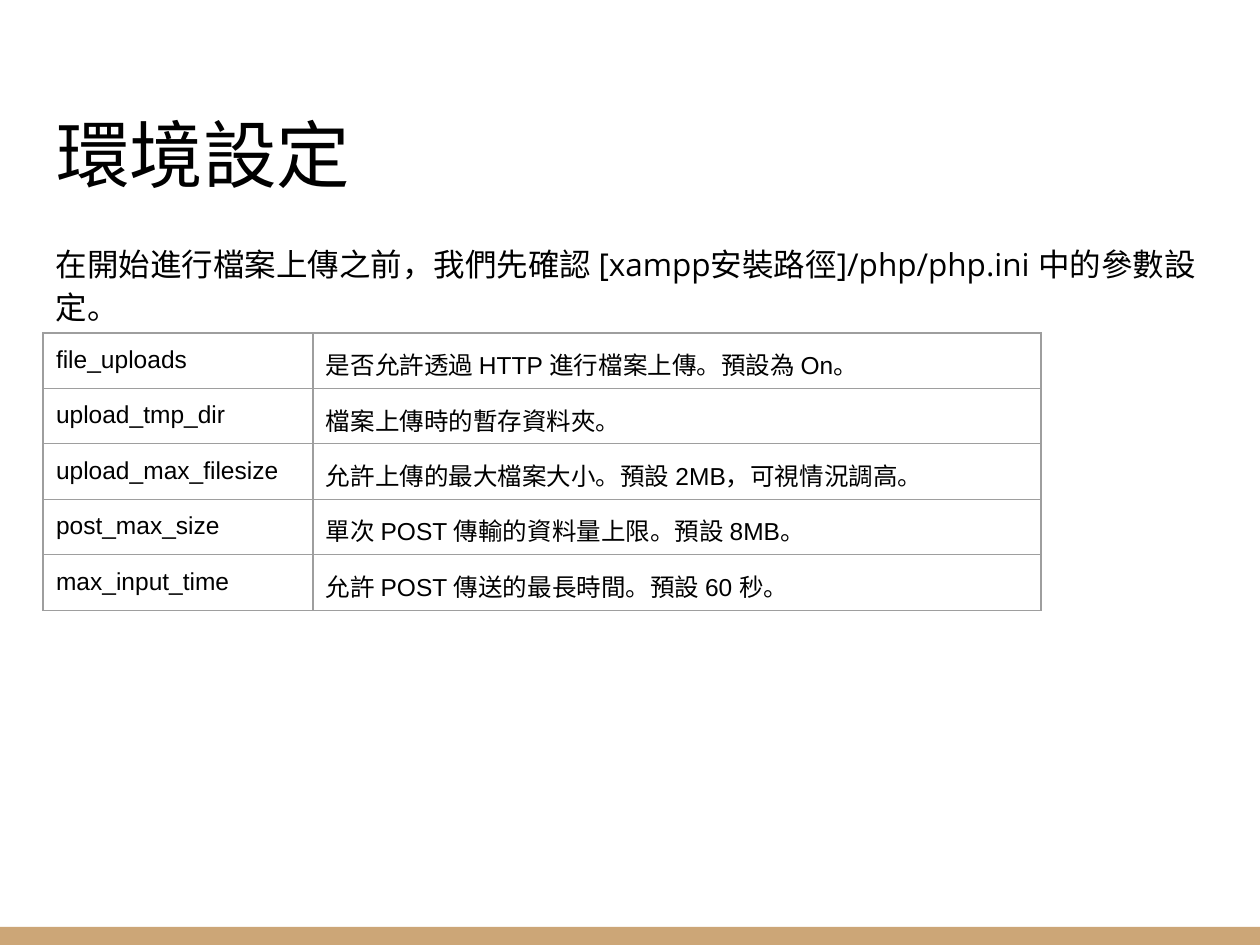
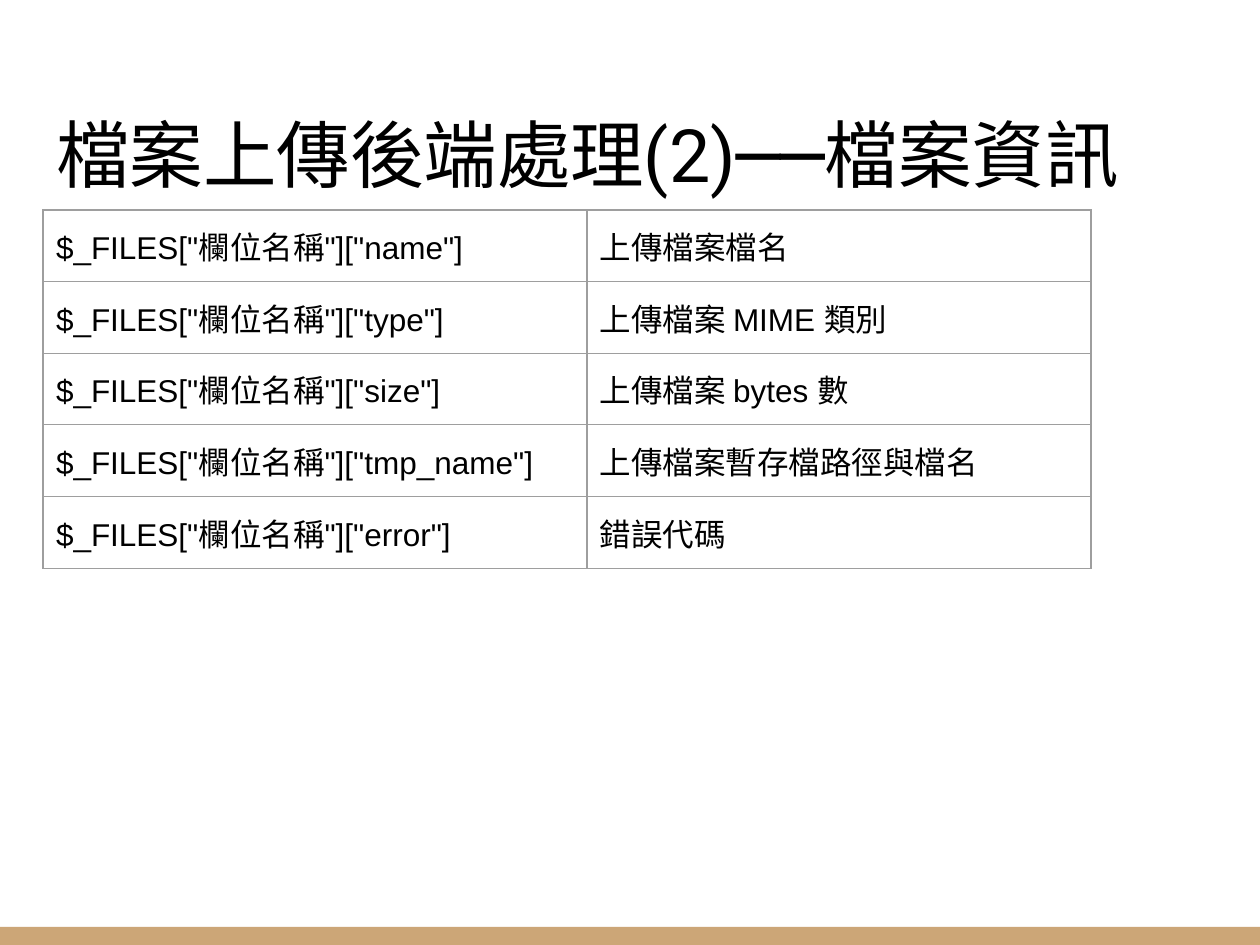
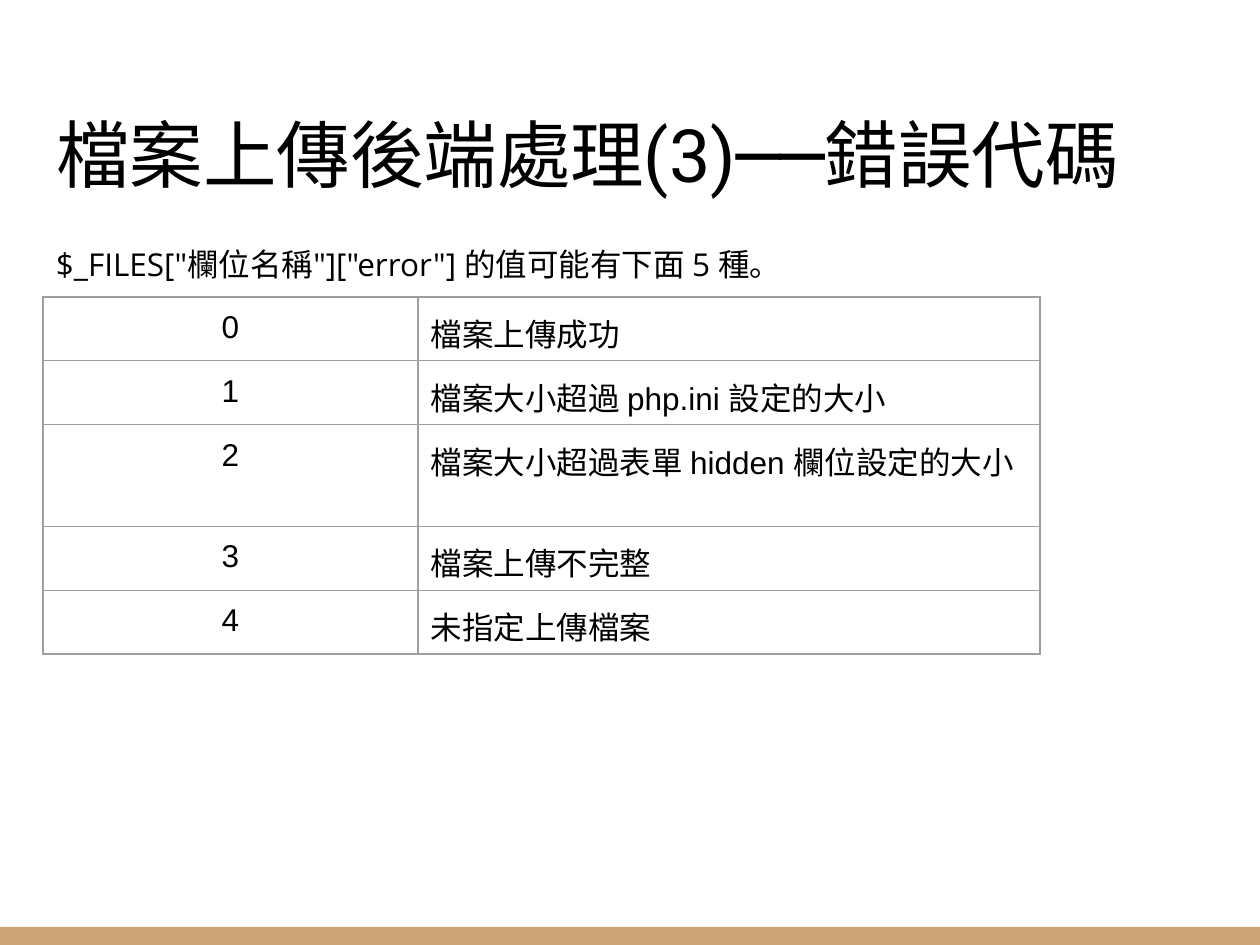
from dataclasses import dataclass

from lxml import etree
from pptx import Presentation
from pptx import util as u
from pptx.dml.color import RGBColor
from pptx.enum import shapes, text
from pptx.oxml.ns import qn

SCALE = 914400 / 126  # EMU per px
W, H = 1260, 945
LEFT, TEXT_W, INSET = 43, 1174, 13
BAND_H = 18
ROW_H = 53


@dataclass(frozen=True)
class Theme:
    ink: str = "000000"
    band: str = "CCA677"
    grid: str = "9E9E9E"
    title_font: str = "Roboto"
    body_font: str = "Open Sans"
    table_font: str = "Arial"
    title_size: int = 42
    body_size: int = 18
    small_size: int = 14
    grid_width: float = 0.75


theme = Theme()

SLIDES = [
    dict(
        title="環境設定",
        intro="在開始進行檔案上傳之前，我們先確認 [xampp安裝路徑]/php/php.ini 中的參數設定。",
        intro_h=107, table_top=333, cols=(270, 728),
        size=theme.small_size, key_align=text.PP_ALIGN.LEFT,
        rows=[
            ("file_uploads", "是否允許透過 HTTP 進行檔案上傳。預設為 On。"),
            ("upload_tmp_dir", "檔案上傳時的暫存資料夾。"),
            ("upload_max_filesize", "允許上傳的最大檔案大小。預設 2MB，可視情況調高。"),
            ("post_max_size", "單次 POST 傳輸的資料量上限。預設 8MB。"),
            ("max_input_time", "允許 POST 傳送的最長時間。預設 60 秒。"),
        ],
    ),
    dict(
        title="檔案上傳後端處理(2)──檔案資訊",
        intro=None, table_top=210, cols=(544, 504),
        size=theme.body_size, key_align=text.PP_ALIGN.LEFT,
        rows=[
            ('$_FILES["欄位名稱"]["name"]', "上傳檔案檔名"),
            ('$_FILES["欄位名稱"]["type"]', "上傳檔案 MIME 類別"),
            ('$_FILES["欄位名稱"]["size"]', "上傳檔案 bytes 數"),
            ('$_FILES["欄位名稱"]["tmp_name"]', "上傳檔案暫存檔路徑與檔名"),
            ('$_FILES["欄位名稱"]["error"]', "錯誤代碼"),
        ],
    ),
    dict(
        title="檔案上傳後端處理(3)──錯誤代碼",
        intro='$_FILES["欄位名稱"]["error"] 的值可能有下面 5 種。',
        intro_h=72, table_top=297, cols=(375, 622),
        size=theme.body_size, key_align=text.PP_ALIGN.CENTER,
        rows=[
            ("0", "檔案上傳成功"),
            ("1", "檔案大小超過 php.ini 設定的大小"),
            ("2", "檔案大小超過表單 hidden 欄位設定的大小"),
            ("3", "檔案上傳不完整"),
            ("4", "未指定上傳檔案"),
        ],
    ),
]


def px(n):
    return u.Emu(round(n * SCALE))


def write(box, words, font, size, align=text.PP_ALIGN.LEFT):
    """Fill a shape or cell with one styled paragraph and return it."""
    tf = box.text_frame
    tf.word_wrap = True
    holder = tf if hasattr(tf, "margin_left") and box is not tf and hasattr(box, "shape_id") else box
    for side in ("left", "right", "top", "bottom"):
        setattr(holder, "margin_" + side, px(INSET))
    p = tf.paragraphs[0]
    p.text = words
    p.alignment = align
    p.font.name = font
    p.font.size = u.Pt(size)
    p.font.color.rgb = RGBColor.from_string(theme.ink)
    return p


prs = Presentation()
prs.slide_width, prs.slide_height = px(W), px(H)

for content in SLIDES:
    s = prs.slides.add_slide(prs.slide_layouts[5])

    band = s.shapes.add_shape(shapes.MSO_SHAPE.RECTANGLE, 0, px(H - BAND_H), px(W), px(BAND_H))
    band.shadow.inherit = False
    band.fill.solid()
    band.fill.fore_color.rgb = RGBColor.from_string(theme.band)
    band.line.fill.background()

    title = s.shapes.title
    title.left, title.top, title.width, title.height = px(LEFT), px(58), px(TEXT_W), px(152)
    write(title, content["title"], theme.title_font, theme.title_size)
    title.text_frame.vertical_anchor = text.MSO_ANCHOR.BOTTOM
    title.text_frame.auto_size = text.MSO_AUTO_SIZE.NONE

    if content["intro"]:
        intro = s.shapes.add_textbox(px(LEFT), px(226), px(TEXT_W), px(content["intro_h"]))
        p = write(intro, content["intro"], theme.body_font, theme.body_size)
        p.line_spacing = 1.15
        p.space_after = u.Pt(16)

    rows, cols = content["rows"], content["cols"]
    table = s.shapes.add_table(
        len(rows), len(cols), px(LEFT), px(content["table_top"]),
        px(sum(cols)), px(ROW_H * len(rows)),
    ).table
    table.first_row = table.horz_banding = False
    for column, width in zip(table.columns, cols):
        column.width = px(width)
    for r, row in enumerate(rows):
        for c, words in enumerate(row):
            cell = table.cell(r, c)
            align = content["key_align"] if c == 0 else text.PP_ALIGN.LEFT
            write(cell, words, theme.table_font, content["size"], align)
            tc_pr = cell._tc.get_or_add_tcPr()
            for edge in ("a:lnL", "a:lnR", "a:lnT", "a:lnB"):
                ln = etree.SubElement(tc_pr, qn(edge), w=str(u.Pt(theme.grid_width)))
                fill = etree.SubElement(ln, qn("a:solidFill"))
                etree.SubElement(fill, qn("a:srgbClr"), val=theme.grid)
            cell.fill.background()

prs.save("out.pptx")
